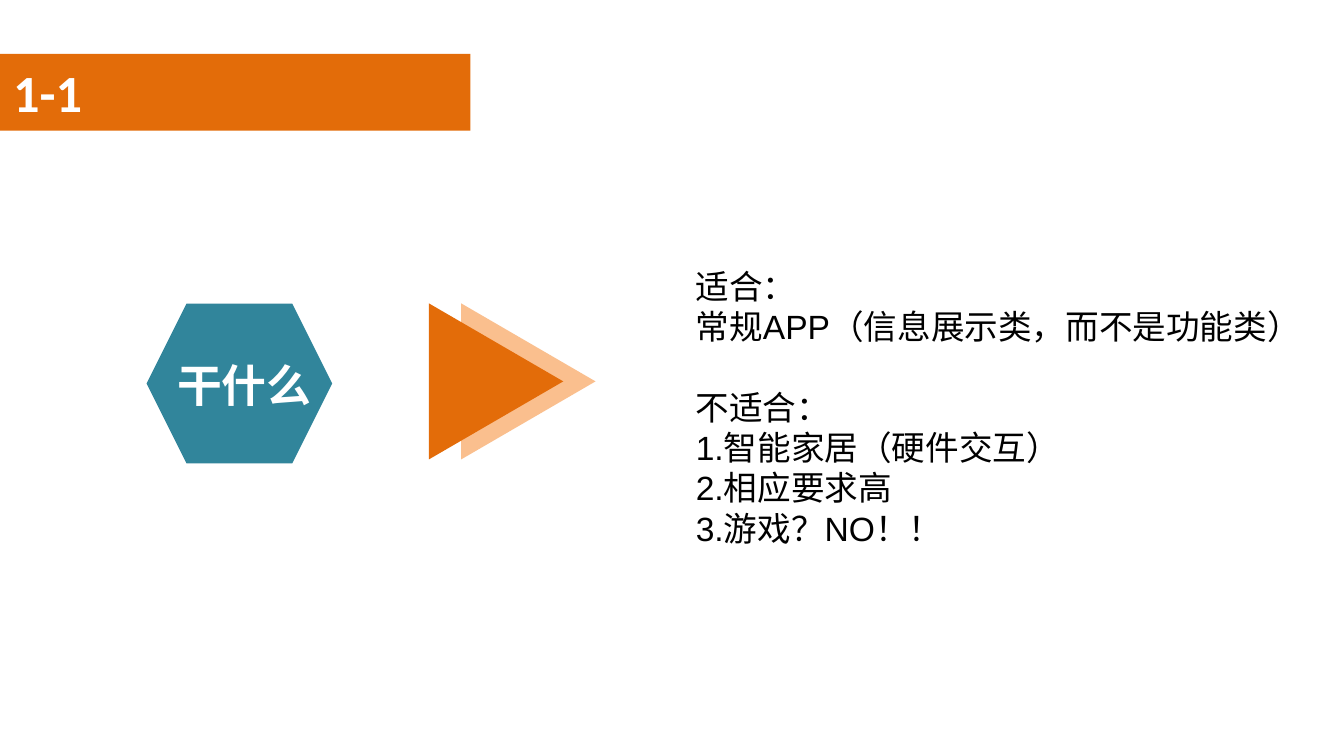
"""Build a slide on what the approach suits and what it does not."""
from dataclasses import dataclass

from pptx import Presentation
from pptx import util as u
from pptx.dml.color import RGBColor
from pptx.enum import shapes, text


@dataclass(frozen=True)
class Theme:
    orange: str = "E36C09"
    peach: str = "FABF8E"
    teal: str = "31859B"
    white: str = "FFFFFF"
    black: str = "000000"
    heading_font: str = "Calibri"
    body_font: str = "Arial"
    title_size: int = 28
    label_size: int = 24
    body_size: int = 18


THEME = Theme()
BAR = (0, 1.02, 8.89, 1.45)
ARROW_LEFT, ARROW_TOP, ARROW_SHIFT = 7.9, 5.94, 0.61
SUITABLE = ["适合：", "常规APP（信息展示类，而不是功能类）"]
UNSUITABLE = ["不适合：", "1.智能家居（硬件交互）", "2.相应要求高", "3.游戏？NO！！"]


def add_filled(parent, kind, box, color, rotation=0):
    shape = parent.add_shape(kind, *map(u.Cm, box))
    shape.shadow.inherit = False
    shape.fill.solid()
    shape.fill.fore_color.rgb = RGBColor.from_string(color)
    shape.line.fill.background()
    shape.rotation = rotation
    return shape


def add_text(slide, box, lines, *, font, size, color, bold=False):
    frame = slide.shapes.add_textbox(*map(u.Cm, box)).text_frame
    frame.word_wrap = True
    frame.auto_size = text.MSO_AUTO_SIZE.SHAPE_TO_FIT_TEXT
    frame.text = "\n".join(lines)
    for paragraph in frame.paragraphs:
        for run in paragraph.runs:
            run.font.name = font
            run.font.size = u.Pt(size)
            run.font.bold = bold
            run.font.color.rgb = RGBColor.from_string(color)
    return frame


def add_double_arrow(slide):
    group = slide.shapes.add_group_shape()
    for step, color in ((1, THEME.peach), (0, THEME.orange)):
        box = (ARROW_LEFT + step * ARROW_SHIFT, ARROW_TOP, 2.95, 2.54)
        add_filled(group.shapes, shapes.MSO_SHAPE.ISOSCELES_TRIANGLE, box, color, 90)


def add_heading(slide, box, line, size):
    add_text(slide, box, [line], font=THEME.heading_font, size=size,
             color=THEME.white, bold=True)


def main():
    presentation = Presentation()
    presentation.slide_width = u.Cm(25.4)
    presentation.slide_height = u.Cm(14.29)
    slide = presentation.slides.add_slide(presentation.slide_layouts[6])

    add_filled(slide.shapes, shapes.MSO_SHAPE.RECTANGLE, BAR, THEME.orange)
    add_double_arrow(slide)
    add_heading(slide, BAR, "1-1", THEME.title_size)
    add_filled(slide.shapes, shapes.MSO_SHAPE.HEXAGON, (2.77, 5.74, 3.51, 3.02), THEME.teal)
    add_heading(slide, (3.1, 6.63, 5.41, 1.27), "干什么", THEME.label_size)
    body = add_text(slide, (12.9, 4.9, 12.07, 5.64), SUITABLE + UNSUITABLE,
                    font=THEME.body_font, size=THEME.body_size, color=THEME.black)
    body.paragraphs[len(SUITABLE)].space_before = u.Pt(21.6)

    presentation.save("out.pptx")


main()
